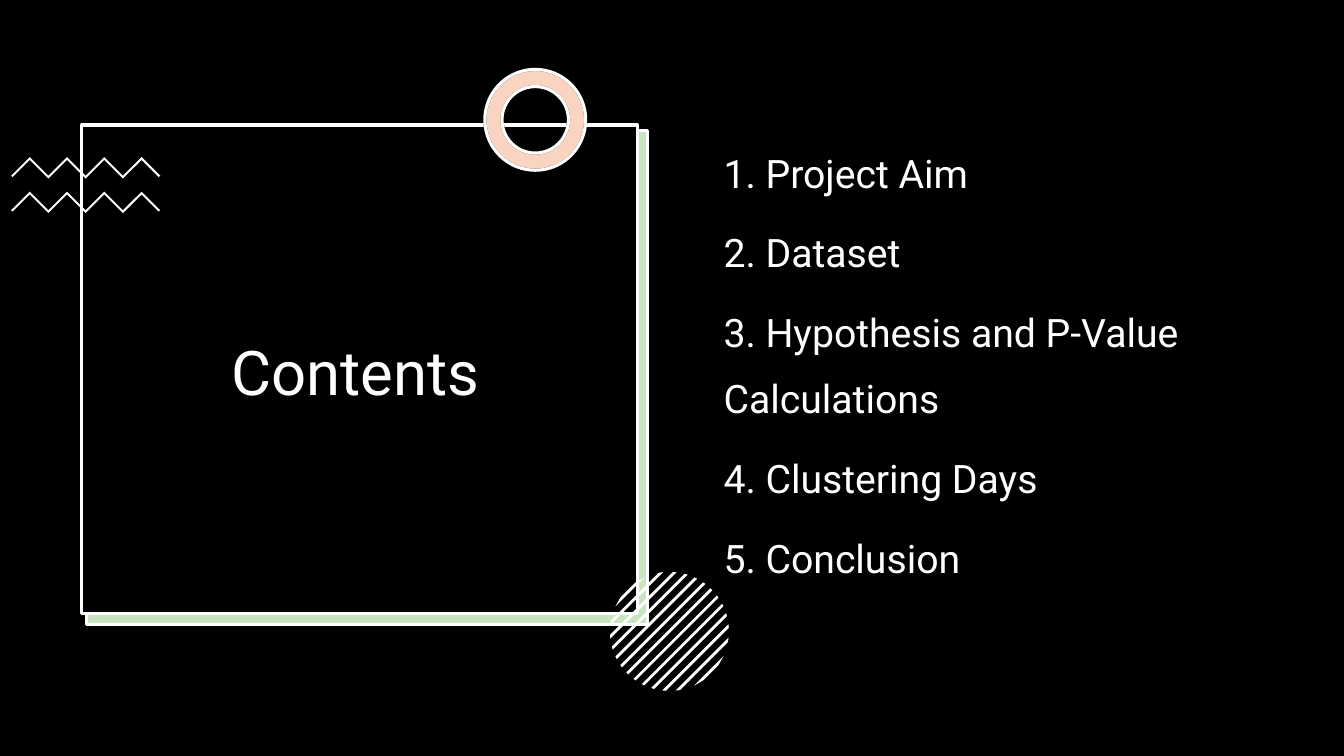
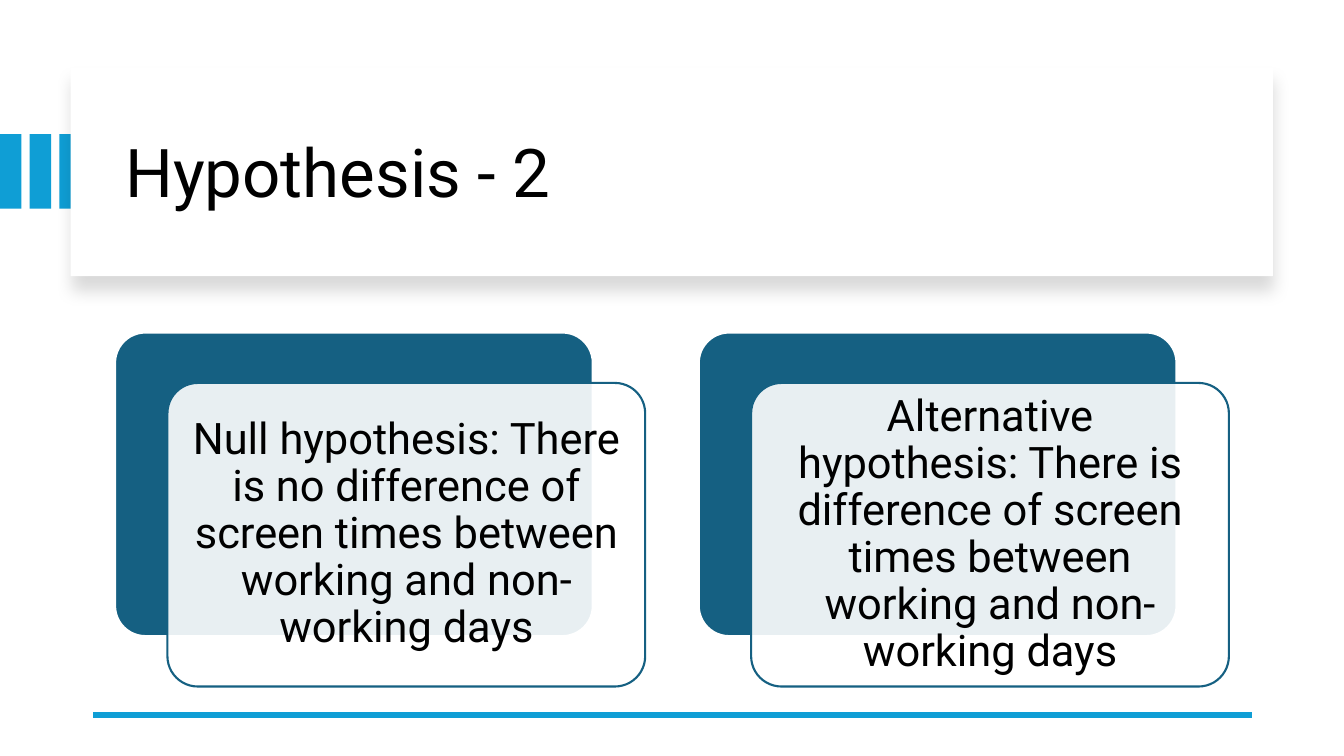
from math import sqrt

from lxml import etree
from pptx import Presentation
from pptx.dml.color import RGBColor
from pptx.enum.shapes import MSO_CONNECTOR, MSO_SHAPE
from pptx.enum.text import MSO_ANCHOR, MSO_AUTO_SIZE, PP_ALIGN
from pptx.oxml import parse_xml
from pptx.oxml.ns import nsdecls, qn
from pptx.util import Cm, Pt

COLORS = {
    "black": "000000",
    "white": "FFFFFF",
    "green": "4EA72E",
    "orange": "E97132",
    "sky": "0F9ED5",
    "teal": "156082",
}
FONT = "Roboto"


def paint(shape, fill, opacity=100, line=None, width=1.5):
    """Flat fill with optional opacity (percent) and outline (points)."""
    shape.shadow.inherit = False
    shape.fill.solid()
    shape.fill.fore_color.rgb = RGBColor.from_string(COLORS[fill])
    if opacity < 100:
        color = shape.element.spPr.find(qn("a:solidFill"))[0]
        etree.SubElement(color, qn("a:alpha"), val=str(opacity * 1000))
    if line:
        shape.line.color.rgb = RGBColor.from_string(COLORS[line])
        shape.line.width = Pt(width)
    else:
        shape.line.fill.background()


def write(box, lines, size, color, area, align=PP_ALIGN.LEFT,
          anchor=MSO_ANCHOR.MIDDLE, spacing=0.9, before=0):
    """Place a text holder in front of the page and style its text."""
    box.left, box.top, box.width, box.height = [Cm(length) for length in area]
    box.element.getparent().append(box.element)
    frame = box.text_frame
    frame.text = "\n".join(lines)
    frame.word_wrap = True
    frame.auto_size = MSO_AUTO_SIZE.NONE
    frame.vertical_anchor = anchor
    for para in frame.paragraphs:
        para.alignment = align
        para.line_spacing = spacing
        para.space_before = Pt(before)
        for span in para.runs:
            span.font.name = FONT
            span.font.size = Pt(size)
            span.font.color.rgb = RGBColor.from_string(COLORS[color])


deck = Presentation()
deck.slide_width, deck.slide_height = Cm(33.87), Cm(19.05)

# ---- Slide 1: contents ----
page = deck.slides.add_slide(deck.slide_layouts[1])

# Black page and layered frame
for area, fill, opacity, line in [
    ((0, 0, 33.87, 19.05), "black", 100, None),
    ((2.16, 3.3, 14.15, 12.45), "white", 100, None),
    ((2.18, 3.28, 14.15, 12.45), "green", 30, "white"),
    ((2.06, 3.15, 14, 12.32), "black", 100, "white"),
]:
    panel = page.shapes.add_shape(MSO_SHAPE.RECTANGLE, *[Cm(length) for length in area])
    paint(panel, fill, opacity, line, 2.25)

# Zigzags
step, thickness = 0.47, 0.07
zigzags = page.shapes.add_group_shape()
for top in (3.96, 4.83):
    upper = [(0.28 + step * i, top + step * (1 - i % 2)) for i in range(9)]
    lower = [(x, y + thickness) for x, y in upper[1:-1]]
    first, last = upper[0], upper[-1]
    tips = [(last[0] - 0.04, last[1] + 0.03), (first[0] + 0.04, first[1] + 0.03)]
    outline = upper + tips[:1] + lower[::-1] + tips[1:]
    points = [(Cm(x), Cm(y)) for x, y in outline]
    builder = zigzags.shapes.build_freeform(*points[0])
    builder.add_line_segments(points[1:])
    paint(builder.convert_to_shape(), "white")

# Ring: white base under a tinted layer
for fill, opacity, line in [("white", 100, "black"), ("orange", 30, "white")]:
    ring = page.shapes.add_shape(MSO_SHAPE.DONUT, Cm(12.22), Cm(1.75), Cm(2.54), Cm(2.54))
    ring.adjustments[0] = 0.17
    paint(ring, fill, opacity, line, 2.25)

# Disc of diagonal stripes, each cut off by the circle
center_x, center_y, radius = 16.87, 15.91, 1.5
pitch, half_stripe = 0.24, 0.035
disc = page.shapes.add_group_shape()
for i in range(-6, 7):
    points = []
    for edge, ends in ((-half_stripe, (-1, 1)), (half_stripe, (1, -1))):
        offset = i * pitch + edge
        reach = sqrt(radius ** 2 - offset ** 2)
        for end in ends:
            points.append((Cm(center_x + (offset + end * reach) / sqrt(2)),
                           Cm(center_y + (offset - end * reach) / sqrt(2))))
    builder = disc.shapes.build_freeform(*points[0])
    builder.add_line_segments(points[1:])
    paint(builder.convert_to_shape(), "white")

# Title and list
write(page.shapes.title, ["Contents "], 44, "white",
      (2.34, 3.86, 13.61, 11.23), PP_ALIGN.CENTER)
topics = page.placeholders[1]
write(topics, [
    "1. Project Aim",
    "2. Dataset",
    "3. Hypothesis and P-Value Calculations",
    "4. Clustering Days",
    "5. Conclusion",
], 28, "white", (17.98, 3.15, 13.82, 12.09), anchor=MSO_ANCHOR.TOP,
    spacing=1.4, before=10)
for para in topics.text_frame.paragraphs:
    settings = para._p.get_or_add_pPr()
    settings.set("marL", "0")
    settings.set("indent", "0")
    etree.SubElement(settings, qn("a:buNone"))

# ---- Slide 2: hypothesis ----
page = deck.slides.add_slide(deck.slide_layouts[5])

# Bars running under the title panel
bars = page.shapes.add_group_shape()
for i in range(3):
    bar = bars.shapes.add_shape(MSO_SHAPE.RECTANGLE, Cm(0.75 * i), Cm(3.38), Cm(0.54), Cm(1.88))
    paint(bar, "sky")

# Title panel with soft shadow
panel = page.shapes.add_shape(MSO_SHAPE.RECTANGLE, Cm(1.78), Cm(1.7), Cm(30.3), Cm(5.26))
paint(panel, "white")
panel.element.spPr.find(qn("a:effectLst")).append(parse_xml(
    f'<a:outerShdw {nsdecls("a")} blurRad="{Pt(11)}" dist="{Pt(10)}" dir="5400000" '
    f'algn="t" rotWithShape="0"><a:srgbClr val="{COLORS["black"]}">'
    '<a:alpha val="15000"/></a:srgbClr></a:outerShdw>'))
write(page.shapes.title, ["Hypothesis - 2"], 48, "black", (2.9, 2.26, 28.27, 4.32))

# Bottom rule
rule = page.shapes.add_connector(MSO_CONNECTOR.STRAIGHT, Cm(31.55), Cm(18.01), Cm(2.34), Cm(18.01))
rule.line.color.rgb = RGBColor.from_string(COLORS["sky"])
rule.line.width = Pt(4.5)
etree.SubElement(rule.element.spPr, qn("a:effectLst"))

# Hypothesis cards
card_width, card_height, inset = 12.04, 7.65, 0.23
cards = page.shapes.add_group_shape()
for i, statement in enumerate([
    "Null hypothesis: There is no difference of screen times between working and non-working days",
    "Alternative hypothesis: There is difference of screen times between working and non-working days",
]):
    left = 2.9 + 14.71 * i
    front_left, front_top = left + 1.32, 9.65
    for x, y, fill, opacity, line in [
        (left, 8.38, "teal", 100, "white"),
        (front_left, front_top, "white", 90, "teal"),
    ]:
        card = cards.shapes.add_shape(MSO_SHAPE.ROUNDED_RECTANGLE, Cm(x), Cm(y),
                                      Cm(card_width), Cm(card_height))
        card.adjustments[0] = 0.1
        paint(card, fill, opacity, line)
    area = (front_left + inset, front_top + inset,
            card_width - 2 * inset, card_height - 2 * inset)
    box = cards.shapes.add_textbox(*[Cm(length) for length in area])
    write(box, [statement], 31, "black", area, PP_ALIGN.CENTER)
    frame = box.text_frame
    frame.margin_left = frame.margin_right = Cm(0.33)
    frame.margin_top = frame.margin_bottom = Cm(0.33)

deck.save("out.pptx")
